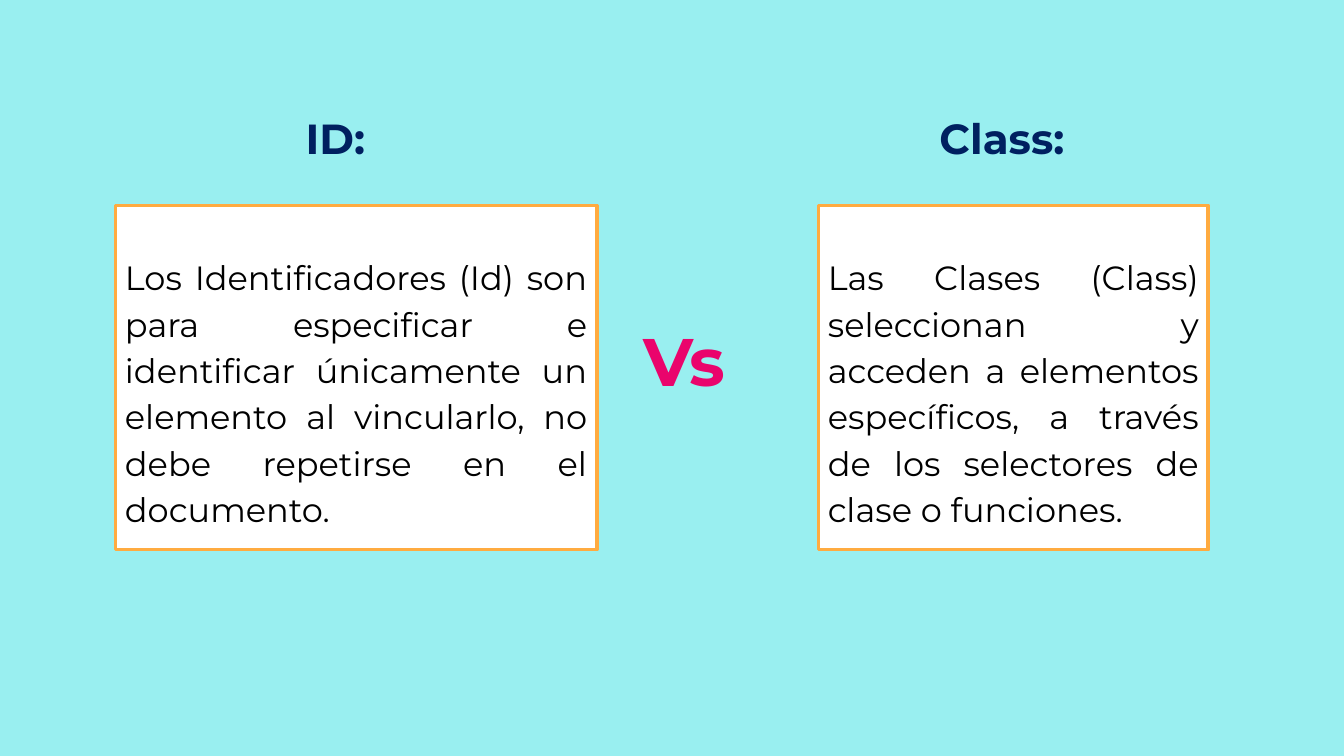
from pptx import Presentation
from pptx.dml.color import RGBColor
from pptx.enum.shapes import MSO_SHAPE
from pptx.enum.text import MSO_ANCHOR, PP_ALIGN
from pptx.util import Inches, Pt

RECTANGLE = MSO_SHAPE.RECTANGLE
TOP, BOTTOM = MSO_ANCHOR.TOP, MSO_ANCHOR.BOTTOM
LEFT, CENTER, JUSTIFY = PP_ALIGN.LEFT, PP_ALIGN.CENTER, PP_ALIGN.JUSTIFY

COLORS = {
    "background": "99EFF0",
    "panel": "FFFFFF",
    "border": "FFAB40",
    "body": "000000",
    "heading": "002060",
    "versus": "EA046C",
}
FONT = "Montserrat"
SLIDE_WIDTH = Inches(10)
SLIDE_HEIGHT = SLIDE_WIDTH * 9 // 16
PANEL_TOP, PANEL_HEIGHT = 1.53, 2.56
HEADING_WIDTH, HEADING_HEIGHT, HEADING_RISE = 1.85, 0.6, 0.72

CONCEPTS = [
    ("ID:", 0.86, 3.58, 0.71,
     "Los Identificadores (Id) son para especificar e identificar únicamente "
     "un elemento al vincularlo, no debe repetirse en el documento."),
    ("Class:", 6.09, 2.9, 0.44,
     "Las Clases (Class) seleccionan y acceden a elementos específicos, "
     "a través de los selectores de clase o funciones."),
]


def color(name):
    return RGBColor.from_string(COLORS[name])


def write(shape, text, size, color_name, bold, align, spacing, anchor, insets):
    frame = shape.text_frame
    left, top, right, bottom = (Inches(inset) for inset in insets)
    frame_format = {
        "word_wrap": True,
        "vertical_anchor": anchor,
        "margin_left": left,
        "margin_top": top,
        "margin_right": right,
        "margin_bottom": bottom,
    }
    for attribute, value in frame_format.items():
        setattr(frame, attribute, value)
    paragraph = frame.paragraphs[0]
    paragraph.alignment = align
    paragraph.line_spacing = spacing
    run = paragraph.add_run()
    run.text = text
    for attribute, value in {"name": FONT, "size": Pt(size), "bold": bold}.items():
        setattr(run.font, attribute, value)
    run.font.color.rgb = color(color_name)


def add_concept(slide, left, top, width, height, heading_offset, heading, definition):
    panel = slide.shapes.add_shape(
        RECTANGLE, Inches(left), Inches(top), Inches(width), Inches(height))
    panel.shadow.inherit = False
    panel.fill.solid()
    panel.fill.fore_color.rgb = color("panel")
    panel.line.color.rgb = color("border")
    panel.line.width = Pt(2)
    write(panel, definition, 18, "body", False, JUSTIFY, 1.15, TOP,
          (0.07, 0.34, 0.07, 0.04))

    title = slide.shapes.add_textbox(
        Inches(left + heading_offset), Inches(top - HEADING_RISE),
        Inches(HEADING_WIDTH), Inches(HEADING_HEIGHT))
    write(title, heading, 22.5, "heading", True, CENTER, 0.9, TOP, (0.07,) * 4)


def add_versus(slide, left, top, width, height):
    versus = slide.shapes.add_textbox(
        Inches(left), Inches(top), Inches(width), Inches(height))
    write(versus, "Vs", 36, "versus", True, LEFT, 1, BOTTOM,
          (0.2, 0.04, 0.07, 0.04))


def main():
    presentation = Presentation()
    presentation.slide_width = SLIDE_WIDTH
    presentation.slide_height = SLIDE_HEIGHT
    slide = presentation.slides.add_slide(presentation.slide_layouts[6])
    slide.background.fill.solid()
    slide.background.fill.fore_color.rgb = color("background")

    add_versus(slide, 4.59, 2.39, 1.03, 0.63)
    for heading, left, width, heading_offset, definition in CONCEPTS:
        add_concept(slide, left, PANEL_TOP, width, PANEL_HEIGHT,
                    heading_offset, heading, definition)
    presentation.save("out.pptx")


if __name__ == "__main__":
    main()
